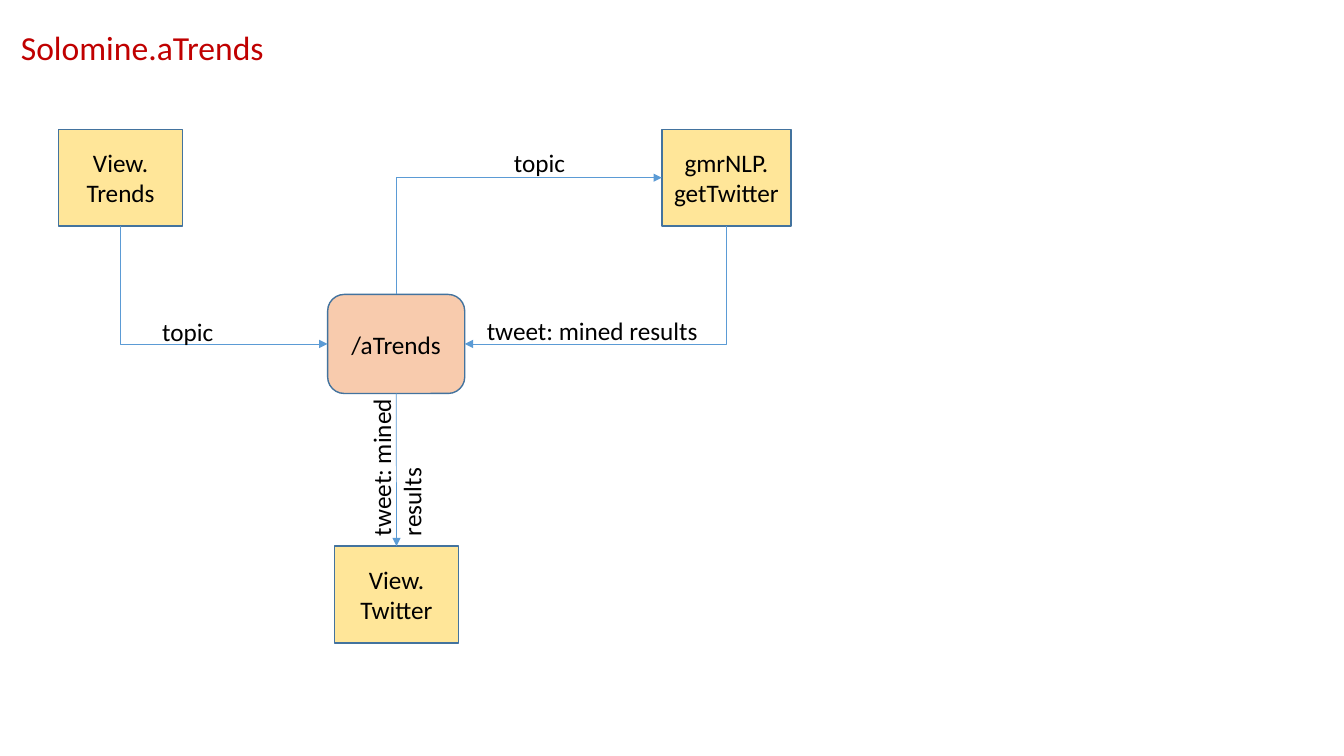
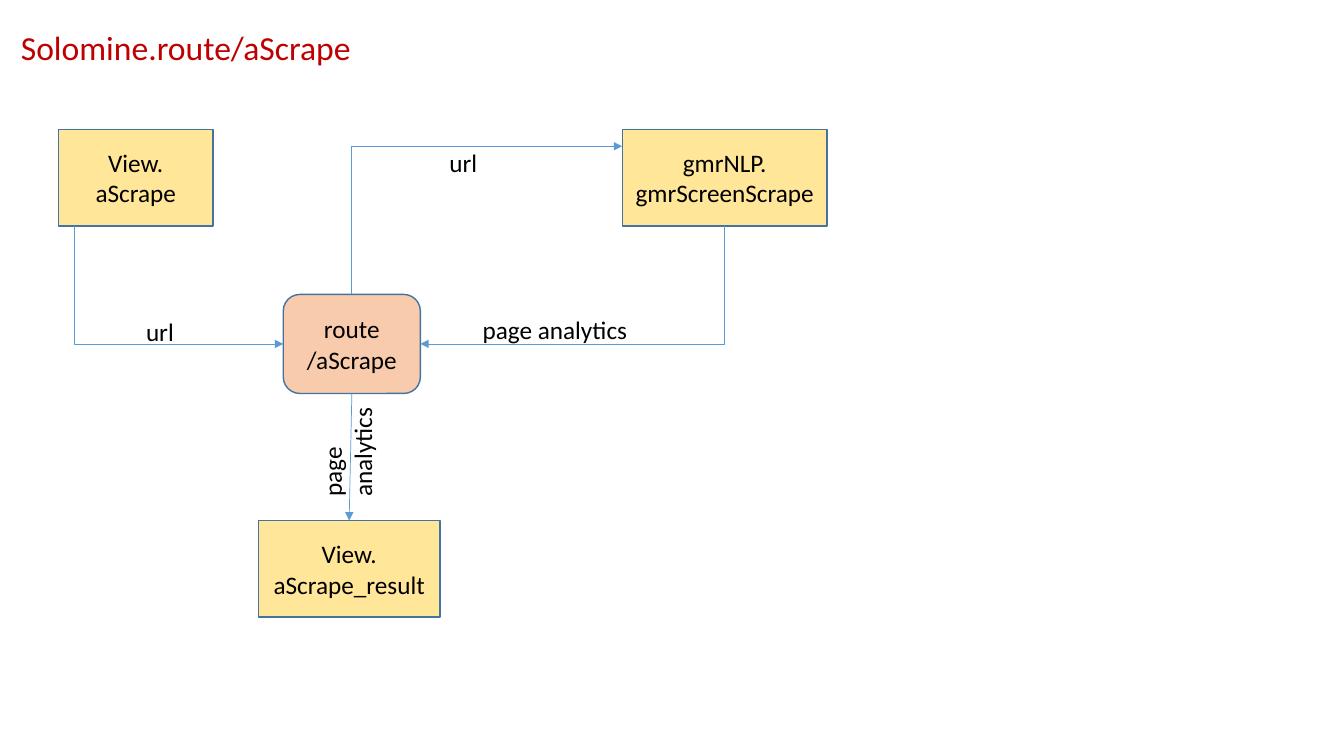
"""Draw two service flow diagrams: a hub exchanging data with its views and NLP service."""
from dataclasses import dataclass

from lxml import etree
from pptx import Presentation
from pptx import util as u
from pptx.dml.color import RGBColor
from pptx.enum import shapes, text
from pptx.oxml.ns import qn

WIDTH, HEIGHT = u.Inches(13.33), u.Inches(7.5)
FONT = "Calibri"
COLOURS = {
    "title": "C00000",
    "ink": "000000",
    "view": "FFE699",
    "hub": "F8CBAD",
    "border": "43739E",
    "flow": "5B9BD5",
}
TOP_ROW, HUB_ROW = 17.1, 38.95
VIEW_HEIGHT, HUB_HEIGHT, HUB_WIDTH = 12.8, 13.1, 10.2
LABEL_HEIGHT, TURNED_HEIGHT = 5.39, 9.42


@dataclass(frozen=True)
class Area:
    """Place on the slide, in percent of its width and height."""
    left: float
    top: float
    width: float
    height: float

    @property
    def centre(self) -> float:
        return self.left + self.width / 2

    @property
    def middle(self) -> float:
        return self.top + self.height / 2

    @property
    def right(self) -> float:
        return self.left + self.width

    @property
    def bottom(self) -> float:
        return self.top + self.height

    def frame(self) -> tuple[int, int, int, int]:
        return (across(self.left), down(self.top),
                across(self.width), down(self.height))


@dataclass(frozen=True)
class Node:
    caption: str
    area: Area


@dataclass(frozen=True)
class Label:
    caption: str
    area: Area
    rotation: int = 0


@dataclass(frozen=True)
class Diagram:
    title: str
    source: Node
    hub: Node
    service: Node
    result: Node
    source_exit: float
    service_entry: float
    labels: tuple[Label, ...]


def across(share: float) -> int:
    return round(WIDTH * share / 100)


def down(share: float) -> int:
    return round(HEIGHT * share / 100)


def view(caption: str, left: float, width: float, top: float = TOP_ROW) -> Node:
    return Node(caption, Area(left, top, width, VIEW_HEIGHT))


def hub(caption: str, left: float) -> Node:
    return Node(caption, Area(left, HUB_ROW, HUB_WIDTH, HUB_HEIGHT))


def label(caption: str, left: float, top: float, width: float) -> Label:
    return Label(caption, Area(left, top, width, LABEL_HEIGHT))


def turned_label(caption: str, left: float, top: float, width: float) -> Label:
    return Label(caption, Area(left, top, width, TURNED_HEIGHT), 270)


DIAGRAMS = (
    Diagram(
        title="Solomine.aTrends",
        source=view("View. Trends", 4.35, 9.25),
        hub=hub("/aTrends", 24.38),
        service=view("gmrNLP. getTwitter", 49.25, 9.6),
        result=view("View. Twitter", 24.88, 9.25, 72.25),
        source_exit=8.98,
        service_entry=23.5,
        labels=(
            label("topic", 11.33, 41.2, 9.9),
            label("topic", 37.5, 18.8, 9.9),
            label("tweet: mined results", 35.48, 41.05, 17.93),
            turned_label("tweet: mined results", 23.4, 56.65, 12.23),
        ),
    ),
    Diagram(
        title="Solomine.route/aScrape",
        source=view("View. aScrape", 4.35, 11.5),
        hub=hub("route /aScrape", 21.08),
        service=view("gmrNLP. gmrScreenScrape", 46.3, 15.25),
        result=view("View. aScrape_result", 19.23, 13.5, 68.85),
        source_exit=5.55,
        service_entry=19.35,
        labels=(
            label("url", 10.13, 41.2, 11.4),
            label("url", 32.7, 18.8, 12),
            label("page analytics", 35.18, 40.9, 12.83),
            turned_label("page analytics", 21.6, 54.8, 8.48),
        ),
    ),
)


def write(frame, caption: str, size: int, colour: str, align, anchor) -> None:
    frame.text = caption
    frame.word_wrap = True
    frame.vertical_anchor = anchor
    paragraph = frame.paragraphs[0]
    paragraph.alignment = align
    font = paragraph.runs[0].font
    font.name, font.size = FONT, u.Pt(size)
    font.color.rgb = RGBColor.from_string(COLOURS[colour])


def draw_title(slide, caption: str) -> None:
    heading = slide.shapes.title
    heading.left, heading.top, heading.width, heading.height = Area(
        0.8, 2.95, 30.7, 6.73).frame()
    write(heading.text_frame, caption, 24, "title",
          text.PP_ALIGN.LEFT, text.MSO_ANCHOR.TOP)
    heading.text_frame.auto_size = text.MSO_AUTO_SIZE.SHAPE_TO_FIT_TEXT


def draw_node(slide, node: Node, outline, fill: str) -> None:
    box = slide.shapes.add_shape(outline, *node.area.frame())
    box.shadow.inherit = False
    box.fill.solid()
    box.fill.fore_color.rgb = RGBColor.from_string(COLOURS[fill])
    box.line.color.rgb = RGBColor.from_string(COLOURS["border"])
    box.line.width = u.Pt(1)
    write(box.text_frame, node.caption, 18, "ink",
          text.PP_ALIGN.CENTER, text.MSO_ANCHOR.MIDDLE)


def draw_label(slide, note: Label) -> None:
    box = slide.shapes.add_textbox(*note.area.frame())
    box.rotation = note.rotation
    write(box.text_frame, note.caption, 18, "ink",
          text.PP_ALIGN.LEFT, text.MSO_ANCHOR.TOP)
    box.text_frame.auto_size = text.MSO_AUTO_SIZE.SHAPE_TO_FIT_TEXT


def draw_flow(slide, origin: tuple[float, float], target: tuple[float, float],
              bent: bool = True) -> None:
    kind = shapes.MSO_CONNECTOR.ELBOW if bent else shapes.MSO_CONNECTOR.STRAIGHT
    flow = slide.shapes.add_connector(
        kind, across(target[0]), down(target[1]), across(origin[0]), down(origin[1]))
    flow.line.color.rgb = RGBColor.from_string(COLOURS["flow"])
    flow.line.width = u.Pt(0.5)
    properties = flow._element.spPr
    if bent:
        properties.find(qn("a:prstGeom")).set("prst", "bentConnector2")
    etree.SubElement(properties.find(qn("a:ln")), qn("a:headEnd"), type="triangle")
    etree.SubElement(properties, qn("a:effectLst"))


def draw_diagram(slide, diagram: Diagram) -> None:
    draw_title(slide, diagram.title)
    centre, service = diagram.hub.area, diagram.service.area
    source, result = diagram.source.area, diagram.result.area
    for node in (diagram.source, diagram.service, diagram.result):
        draw_node(slide, node, shapes.MSO_SHAPE.RECTANGLE, "view")
    draw_node(slide, diagram.hub, shapes.MSO_SHAPE.ROUNDED_RECTANGLE, "hub")
    draw_flow(slide, (diagram.source_exit, source.bottom), (centre.left, centre.middle))
    draw_flow(slide, (centre.centre, centre.top), (service.left, diagram.service_entry))
    draw_flow(slide, (service.centre, service.bottom), (centre.right, centre.middle))
    draw_flow(slide, (centre.centre, centre.bottom), (result.centre, result.top), bent=False)
    for note in diagram.labels:
        draw_label(slide, note)


def main() -> None:
    deck = Presentation()
    deck.slide_width, deck.slide_height = WIDTH, HEIGHT
    title_only = deck.slide_layouts[5]
    for diagram in DIAGRAMS:
        draw_diagram(deck.slides.add_slide(title_only), diagram)
    deck.save("out.pptx")


if __name__ == "__main__":
    main()
